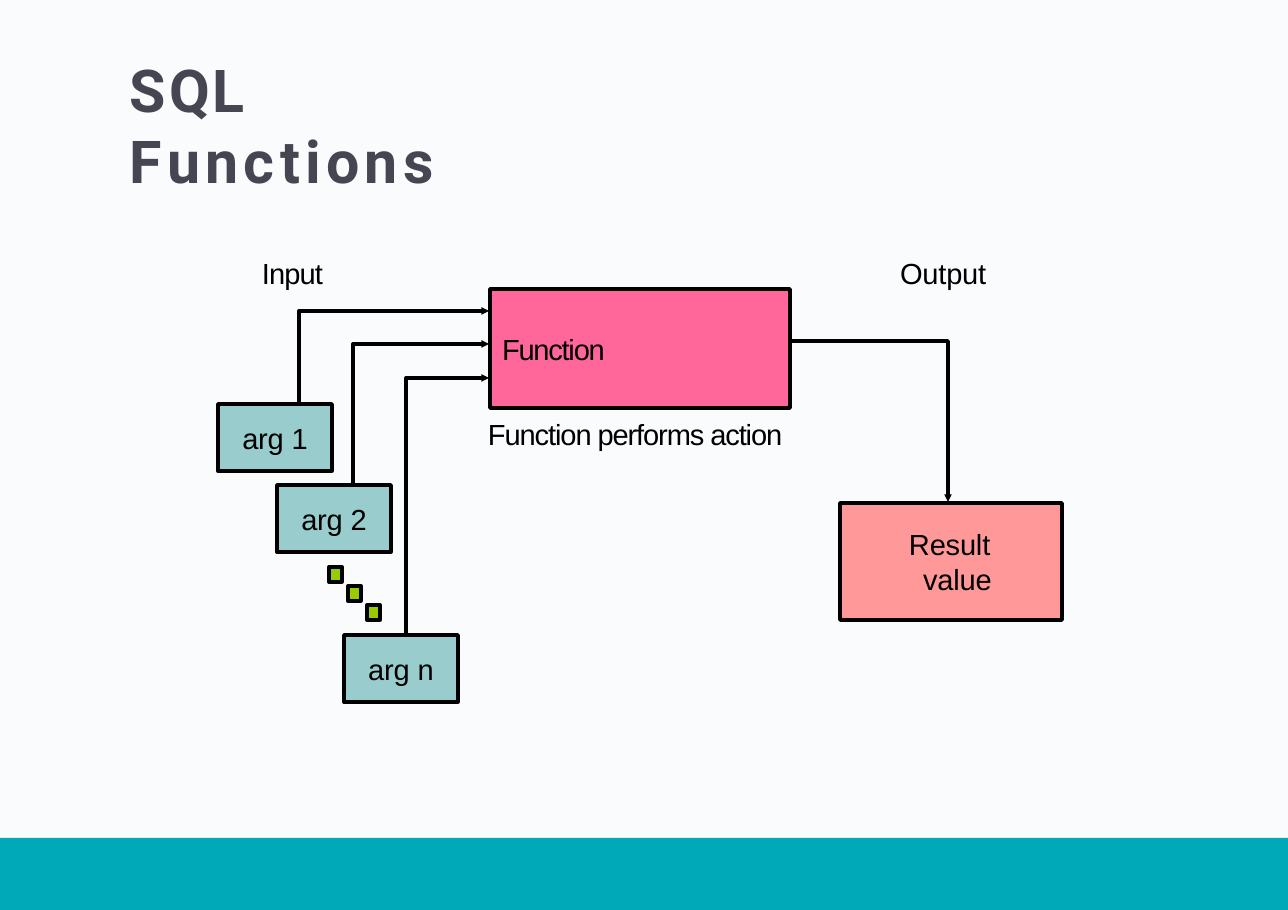
from lxml import etree
from pptx import Presentation
from pptx import util as u
from pptx.dml.color import RGBColor
from pptx.enum import shapes, text
from pptx.oxml.ns import qn

PX = 8298  # EMU per px

BLACK = RGBColor(0x00, 0x00, 0x00)
SLATE = RGBColor(0x46, 0x46, 0x53)
PAPER = RGBColor(0xFA, 0xFB, 0xFC)
TEAL = RGBColor(0x00, 0xA9, 0xB7)
PINK = RGBColor(0xFF, 0x66, 0x99)
AQUA = RGBColor(0x99, 0xCC, 0xCC)
SALMON = RGBColor(0xFF, 0x99, 0x99)
GREEN = RGBColor(0x99, 0xCC, 0x00)

TITLE_FONT = dict(name="Roboto", size=u.Pt(38.6), bold=True)
BODY_FONT = dict(name="Arial", size=u.Pt(19), bold=False)
LEFT, CENTER = text.PP_ALIGN.LEFT, text.PP_ALIGN.CENTER

# Content: boxes are left, top, width, height in px; tracking is in points
SLIDE_SIZE = (1288, 910)
TITLE = dict(box=(129, 91, 381, 66), runs=[("SQL ", 1.8), ("Functions", 3.5)])
FOOTER_BAR = (0, 838, 1288, 72)
LABELS = [
    ("Input", (261, 253, 64, 39), -0.6),
    ("Function performs action", (487, 414, 302, 39), -0.7),
    ("Output", (899, 253, 90, 39), -0.1),
]
FUNCTION = ("Function", (490, 289, 300, 119), -0.8)
RESULT = ("Result\vvalue", (840, 503, 222, 117), -0.1)
ARG_SIZE = (114, 67)
ARGUMENTS = [  # text, left, top, arrow x, arrow y
    ("arg 1", 218, 404, 299, 311),
    ("arg 2", 277, 485, 353, 344),
    ("arg n", 344, 635, 406, 378),
]
DOTS = dict(start=(329, 567), size=(13, 15), step=19, count=3)
OUTPUT_ARROW = [(790, 341), (948, 341), (948, 502)]


def emu(box):
    return [u.Emu(value * PX) for value in box]


def write(paragraph, runs, font, color, align=LEFT):
    paragraph.alignment = align
    for words, tracking in runs:
        for index, line in enumerate(words.split("\v")):
            if index:
                paragraph.add_line_break()
            run = paragraph.add_run()
            run.text = line
            for name, value in font.items():
                setattr(run.font, name, value)
            run.font.color.rgb = color
            run.font._element.set("spc", str(round(tracking * 100)))


def prepare_frame(shape, left=0):
    frame = shape.text_frame
    settings = dict(margin_left=left * PX, margin_right=0, margin_top=0, margin_bottom=0,
                    word_wrap=True, vertical_anchor=text.MSO_ANCHOR.MIDDLE)
    for name, value in settings.items():
        setattr(frame, name, value)
    return frame.paragraphs[0]


def add_box(slide, box, fill, outlined=True):
    shape = slide.shapes.add_shape(shapes.MSO_SHAPE.RECTANGLE, *emu(box))
    shape.shadow.inherit = False
    shape.fill.solid()
    shape.fill.fore_color.rgb = fill
    if outlined:
        shape.line.color.rgb = BLACK
        shape.line.width = u.Pt(2.38)
    else:
        shape.line.fill.background()
    return shape


def add_arrow(slide, points):
    builder = slide.shapes.build_freeform(*points[0], scale=PX)
    builder.add_line_segments(points[1:], close=False)
    shape = builder.convert_to_shape()
    shape.shadow.inherit = False
    shape.fill.background()
    shape.line.color.rgb = BLACK
    shape.line.width = u.Pt(2.5)
    etree.SubElement(shape.line._get_or_add_ln(), qn("a:tailEnd"),
                     type="triangle", w="sm", len="sm")


def main():
    presentation = Presentation()
    presentation.slide_width, presentation.slide_height = emu(SLIDE_SIZE)
    slide = presentation.slides.add_slide(presentation.slide_layouts[5])
    slide.background.fill.solid()
    slide.background.fill.fore_color.rgb = PAPER

    # Footer bar and title
    add_box(slide, FOOTER_BAR, TEAL, outlined=False)
    title = slide.shapes.title
    title.left, title.top, title.width, title.height = emu(TITLE["box"])
    write(prepare_frame(title, left=1), TITLE["runs"], TITLE_FONT, SLATE)
    title.text_frame.auto_size = text.MSO_AUTO_SIZE.SHAPE_TO_FIT_TEXT

    # Function box
    words, box, tracking = FUNCTION
    paragraph = prepare_frame(add_box(slide, box, PINK), left=12)
    write(paragraph, [(words, tracking)], BODY_FONT, BLACK)

    # Arguments, each with its arrow into the function
    for words, left, top, arrow_x, arrow_y in ARGUMENTS:
        add_arrow(slide, [(arrow_x, top), (arrow_x, arrow_y), (FUNCTION[1][0] - 1, arrow_y)])
        paragraph = prepare_frame(add_box(slide, (left, top, *ARG_SIZE), AQUA))
        write(paragraph, [(words, -0.1)], BODY_FONT, BLACK, CENTER)

    # Diagonal dots between the arguments
    for index in range(DOTS["count"]):
        corner = [value + index * DOTS["step"] for value in DOTS["start"]]
        add_box(slide, (*corner, *DOTS["size"]), GREEN)

    # Result box with its hanging first line
    add_arrow(slide, OUTPUT_ARROW)
    words, box, tracking = RESULT
    paragraph = prepare_frame(add_box(slide, box, SALMON))
    properties = paragraph._p.get_or_add_pPr()
    properties.set("marL", str(83 * PX))
    properties.set("indent", str(-14 * PX))
    write(paragraph, [(words, tracking)], BODY_FONT, BLACK)

    # Labels
    for words, box, tracking in LABELS:
        paragraph = prepare_frame(slide.shapes.add_textbox(*emu(box)), left=1)
        write(paragraph, [(words, tracking)], BODY_FONT, BLACK)

    presentation.save("out.pptx")


if __name__ == "__main__":
    main()
